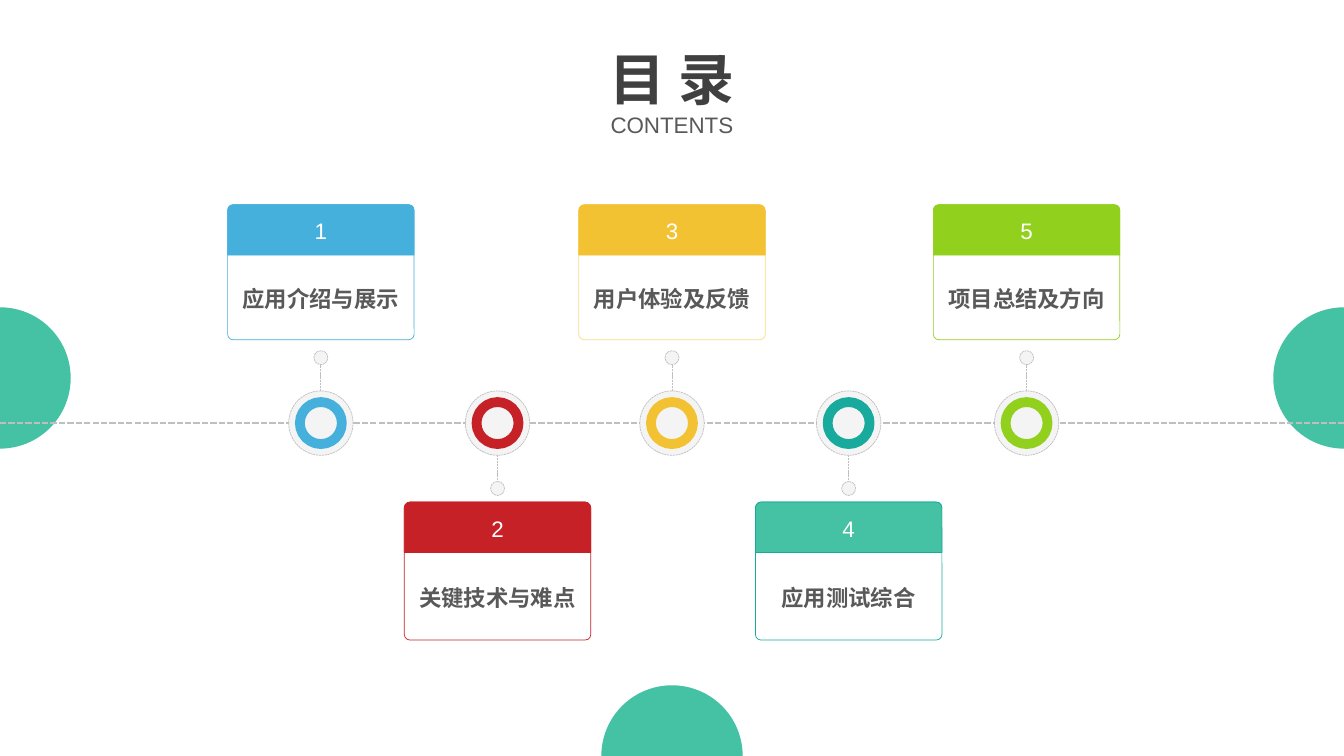
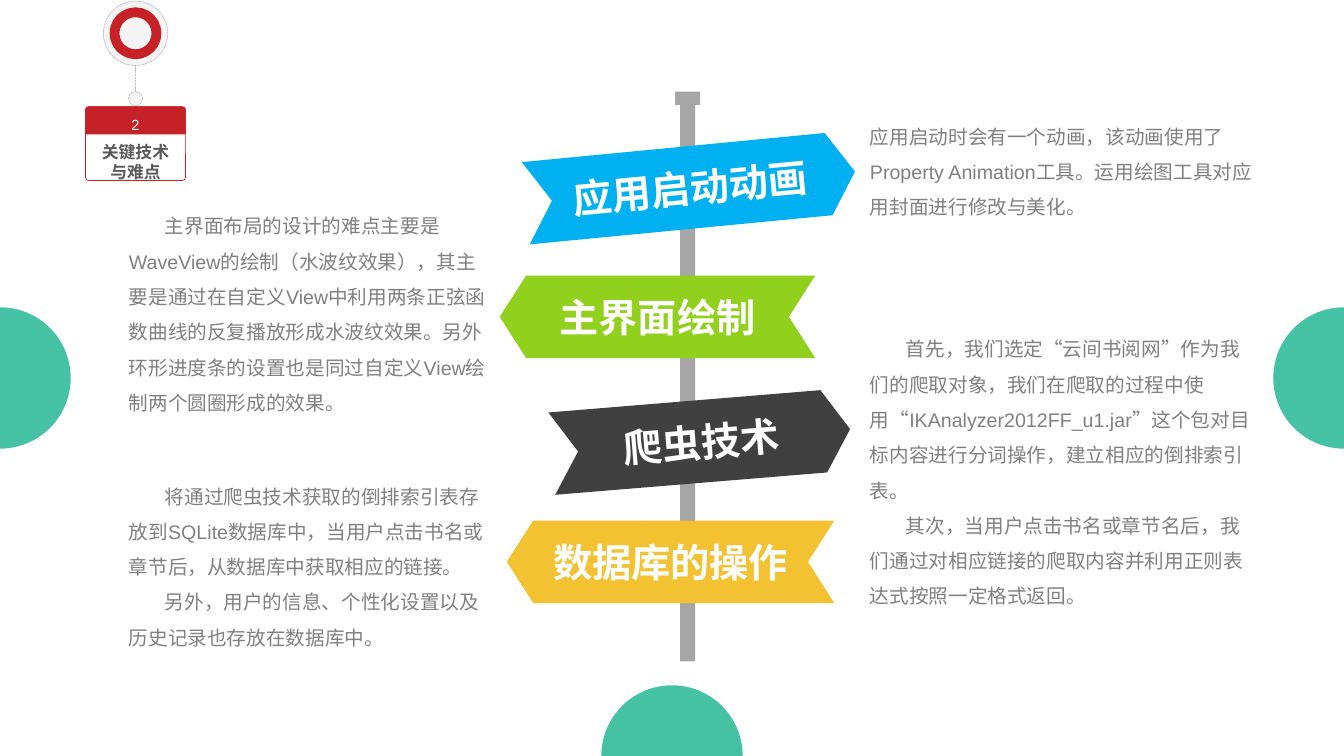
"""Build a contents timeline and a signpost slide."""
from dataclasses import dataclass

from lxml.etree import SubElement
from pptx import Presentation
from pptx.dml.color import RGBColor
from pptx.enum.dml import MSO_LINE
from pptx.enum.lang import MSO_LANGUAGE_ID
from pptx.enum.shapes import MSO_CONNECTOR, MSO_SHAPE
from pptx.enum.text import MSO_ANCHOR, PP_ALIGN
from pptx.oxml.ns import qn
from pptx.shapes.autoshape import Shape
from pptx.slide import Slide, SlideLayout
from pptx.util import Pt

WIDE, TALL = 960, 540
FONT = "Arial"
TEAL, RED, GOLD, LIME, BLUE = "45C1A4", "C62127", "F2C232", "92D01E", "45B0DC"
SEA, SKY, PALE = "18AA9D", "00B0F0", "F8DD82"
WHITE, MIST, SILVER, STEEL = "FFFFFF", "F4F4F4", "BFBFBF", "A6A6A6"
GREY, SLATE, DARK = "808080", "595959", "404040"
AXIS = 302.2
DISC, RING, DOT, STEM = 46, 30, 10, 18.7


@dataclass
class Stop:
    tag: str
    label: str
    x: float
    hue: str
    way: int
    edge: str = ""
    fill: str = ""


@dataclass
class Card:
    x: float
    top: float
    wide: float
    tall: float
    band: float
    drop: float
    tag: float
    label: float


@dataclass
class Sign:
    text: str
    x: float
    y: float
    wide: float
    hue: str
    turn: float = 0
    flip: bool = False


@dataclass
class Note:
    text: str
    x: float
    y: float
    wide: float
    tall: float
    indent: float = 25.7


STOPS = [
    Stop("1", "应用介绍与展示", 229.2, BLUE, -1),
    Stop("2", "关键技术与难点", 355.4, RED, 1),
    Stop("3", "用户体验及反馈", 480, GOLD, -1, edge=PALE),
    Stop("4", "应用测试综合", 606.2, SEA, 1, fill=TEAL),
    Stop("5", "项目总结及方向", 733.3, LIME, -1),
]

SIGNS = [
    Sign("应用启动动画", 375, 104.4, 236.2, SKY, turn=354.5),
    Sign("主界面绘制", 357, 196.8, 225.4, LIME, flip=True),
    Sign("爬虫技术", 393.8, 285.8, 213.8, DARK, turn=355.3),
    Sign("数据库的操作", 362, 371.8, 234, GOLD, flip=True),
]

NOTES = [
    Note("应用启动时会有一个动画，该动画使用了Property Animation工具。"
         "运用绘图工具对应用封面进行修改与美化。", 621.4, 80.6, 275.8, 76.3, indent=0),
    Note("首先，我们选定“云间书阅网”作为我们的爬取对象，我们在爬取的过程中使用"
         "“IKAnalyzer2012FF_u1.jar”这个包对目标内容进行分词操作，建立相应的倒排索引表。\n"
         "其次，当用户点击书名或章节名后，我们通过对相应链接的爬取内容并利用正则表达式"
         "按照一定格式返回。", 621.4, 232.6, 275.8, 177.8),
    Note("将通过爬虫技术获取的倒排索引表存放到SQLite数据库中，当用户点击书名或章节后，"
         "从数据库中获取相应的链接。\n"
         "另外，用户的信息、个性化设置以及历史记录也存放在数据库中。", 92, 337.7, 257.8, 127.4),
    Note("主界面布局的设计的难点主要是WaveView的绘制（水波纹效果），其主要是通过在自定义"
         "View中利用两条正弦函数曲线的反复播放形成水波纹效果。另外环形进度条的设置也是"
         "同过自定义View绘制两个圆圈形成的效果。", 92, 144.7, 257.8, 152.6),
]


def tint(code: str) -> RGBColor:
    """Turn a hex string into a colour."""
    return RGBColor.from_string(code)


def shape(slide: Slide, kind: MSO_SHAPE, x: float, y: float, wide: float, tall: float, *,
          fill: str = "", line: str = "", width: float = 0.5, dash: bool = False) -> Shape:
    """Add a flat preset shape."""
    item = slide.shapes.add_shape(kind, Pt(x), Pt(y), Pt(wide), Pt(tall))
    item.shadow.inherit = False
    if fill:
        item.fill.solid()
        item.fill.fore_color.rgb = tint(fill)
    else:
        item.fill.background()
    if line:
        item.line.color.rgb = tint(line)
        item.line.width = Pt(width)
        if dash:
            item.line.dash_style = MSO_LINE.SQUARE_DOT
    else:
        item.line.fill.background()
    return item


def disc(slide: Slide, x: float, y: float, size: float, **look) -> Shape:
    """Add a circle around a centre."""
    return shape(slide, MSO_SHAPE.OVAL, x - size / 2, y - size / 2, size, size, **look)


def rule(slide: Slide, x: float, y: float, end: float, stop: float, width: float) -> None:
    """Add a dashed grey line."""
    line = slide.shapes.add_connector(MSO_CONNECTOR.STRAIGHT, Pt(x), Pt(y), Pt(end), Pt(stop))
    line.line.color.rgb = tint(SILVER)
    line.line.width = Pt(width)
    line.line.dash_style = MSO_LINE.SQUARE_DOT
    SubElement(line.element.spPr, qn("a:effectLst"))


def write(item: Shape, text: str, *, size: float, hue: str, bold: bool = False,
          align: PP_ALIGN = PP_ALIGN.CENTER, anchor: MSO_ANCHOR = MSO_ANCHOR.MIDDLE,
          space: float = 1, indent: float = 0) -> None:
    """Write formatted paragraphs into a shape."""
    frame = item.text_frame
    frame.word_wrap = True
    frame.vertical_anchor = anchor
    for spot, part in enumerate(text.split("\n")):
        para = frame.add_paragraph() if spot else frame.paragraphs[0]
        para.alignment = align
        para.line_spacing = space
        if indent:
            para._p.get_or_add_pPr().set("indent", str(Pt(indent)))
        run = para.add_run()
        run.text = part
        font = run.font
        font.name = FONT
        font.size = Pt(size)
        font.bold = bold
        font.color.rgb = tint(hue)
        font.language_id = MSO_LANGUAGE_ID.SIMPLIFIED_CHINESE


def box(slide: Slide, text: str, x: float, y: float, wide: float, tall: float, *,
        inset: bool = True, **look) -> None:
    """Add a text box."""
    item = slide.shapes.add_textbox(Pt(x), Pt(y), Pt(wide), Pt(tall))
    if not inset:
        frame = item.text_frame
        frame.margin_left = frame.margin_right = frame.margin_top = frame.margin_bottom = 0
    write(item, text, **look)


def mark(slide: Slide, x: float, y: float, hue: str, way: int) -> None:
    """Add a ringed marker with a stem going up (-1) or down (1)."""
    near = y + way * DISC / 2
    far = near + way * STEM
    rule(slide, x, near, x, far, 0.5)
    disc(slide, x, far + way * DOT / 2, DOT, fill=MIST, line=SILVER, dash=True)
    disc(slide, x, y, DISC, fill=MIST, line=SILVER, dash=True)
    disc(slide, x, y, RING, fill=MIST, line=hue, width=7)


def panel(slide: Slide, stop: Stop, card: Card) -> None:
    """Add an outlined card with a numbered band."""
    left = card.x - card.wide / 2
    frame = shape(slide, MSO_SHAPE.ROUNDED_RECTANGLE, left, card.top, card.wide, card.tall,
                  line=stop.edge or stop.hue)
    frame.adjustments[0] = 0.04
    band = shape(slide, MSO_SHAPE.ROUND_2_SAME_RECTANGLE, left, card.top, card.wide, card.band,
                 fill=stop.fill or stop.hue, line=stop.hue)
    band.adjustments[0] = 0.12
    top = card.top + card.drop
    box(slide, stop.tag, left, top, card.wide, card.band, size=card.tag, hue=WHITE)
    box(slide, stop.label, left, top + card.band, card.wide, card.tall - card.band,
        size=card.label, hue=SLATE, bold=True)


def adorn(slide: Slide, layout: SlideLayout) -> None:
    """Put the shared edge circles on the layout."""
    for x, y in ((WIDE / 2, TALL), (0, TALL / 2), (WIDE, TALL / 2)):
        layout.shapes.element.append(disc(slide, x, y, 101, fill=TEAL).element)


def index(slide: Slide) -> None:
    """Draw the contents timeline."""
    rule(slide, WIDE, AXIS, 0, AXIS, 1.5)
    box(slide, "目 录", 120, 33.8, 720, 49.7, size=40, hue=DARK, bold=True, space=0.9)
    box(slide, "CONTENTS", 192, 74.9, 576, 28.8, size=16, hue=SLATE)
    for stop in STOPS:
        mark(slide, stop.x, AXIS, stop.hue, stop.way)
        top, tall = (146.2, 96.5) if stop.way < 0 else (358.6, 98.6)
        panel(slide, stop, Card(stop.x, top, 133.2, tall, 36, 0.6, 16, 16))


def guide(slide: Slide) -> None:
    """Draw the signpost with its notes."""
    shape(slide, MSO_SHAPE.RECTANGLE, 485.8, 74.9, 10.8, 397.5, fill=STEEL)
    shape(slide, MSO_SHAPE.RECTANGLE, 482.2, 65.5, 18, 9.4, fill=STEEL)
    for sign in SIGNS:
        item = shape(slide, MSO_SHAPE.NOTCHED_RIGHT_ARROW, sign.x, sign.y, sign.wide, 59,
                     fill=sign.hue)
        item.adjustments[0] = 1
        item.adjustments[1] = 0.32
        item.rotation = sign.turn
        if sign.flip:
            item.element.spPr.xfrm.set("flipH", "1")
        write(item, sign.text, size=28, hue=WHITE, bold=True)
    for note in NOTES:
        box(slide, note.text, note.x, note.y, note.wide, note.tall, inset=False, size=14,
            hue=GREY, align=PP_ALIGN.LEFT, anchor=MSO_ANCHOR.TOP, space=1.5, indent=note.indent)
    stop = STOPS[1]
    mark(slide, 96.8, 23.8, stop.hue, stop.way)
    panel(slide, stop, Card(96.8, 76.3, 71.3, 52.6, 19.4, 3, 10.5, 12))


def main() -> None:
    """Build and save the deck."""
    deck = Presentation()
    deck.slide_width, deck.slide_height = Pt(WIDE), Pt(TALL)
    layout = deck.slide_layouts[6]
    first, second = (deck.slides.add_slide(layout) for _ in range(2))
    adorn(first, layout)
    index(first)
    guide(second)
    deck.save("out.pptx")


if __name__ == "__main__":
    main()
